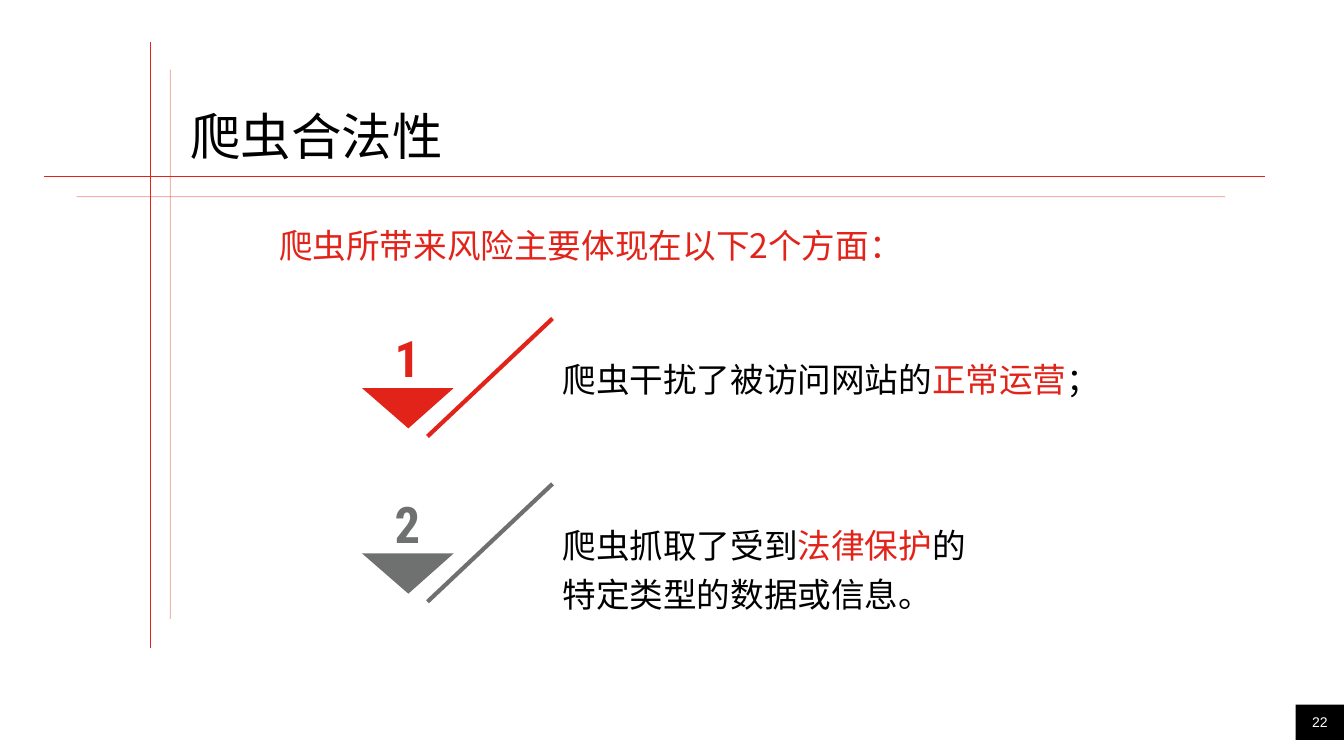
from lxml import etree
from pptx import Presentation
from pptx.dml.color import RGBColor
from pptx.enum import shapes, text
from pptx.oxml.ns import qn
from pptx.util import Inches, Pt

RED = RGBColor(0xE2, 0x23, 0x1A)
GRAY = RGBColor(0x6F, 0x71, 0x70)
BLACK = RGBColor(0, 0, 0)
WHITE = RGBColor(255, 255, 255)
CJK = "Noto Sans CJK SC"


def write(sp, runs, size, font=CJK, bold=False, align=None, spacing=None,
          anchor=text.MSO_ANCHOR.TOP, inset=None):
    tf = sp.text_frame
    tf.word_wrap = True
    tf.vertical_anchor = anchor
    if inset is not None:
        tf.margin_left = tf.margin_right = Inches(inset)
        tf.margin_top = tf.margin_bottom = Inches(inset)
    p = tf.paragraphs[0]
    p.alignment = align
    p.line_spacing = spacing
    p.font.size = Pt(size)
    p.font.name = font
    p.font.bold = bold
    latin = p.font._element.find(qn("a:latin"))
    ea = etree.Element(qn("a:ea"), typeface=CJK)
    latin.addnext(ea)
    for words, color in runs:
        r = p.add_run()
        r.text = words
        r.font.color.rgb = color


def add_text(s, x, y, w, h, runs, size, **style):
    sp = s.shapes.add_textbox(Inches(x), Inches(y), Inches(w), Inches(h))
    write(sp, runs, size, **style)


def add_line(s, x1, y1, x2, y2, color, width=0.75, alpha=None):
    ln = s.shapes.add_connector(shapes.MSO_CONNECTOR.STRAIGHT, Inches(x1),
                                Inches(y1), Inches(x2), Inches(y2))
    ln.line.color.rgb = color
    ln.line.width = Pt(width)
    if alpha:
        clr = ln.line._ln.find(".//" + qn("a:srgbClr"))
        etree.SubElement(clr, qn("a:alpha"), val=str(alpha * 1000))
    etree.SubElement(ln._element.spPr, qn("a:effectLst"))


def plain(sp, color):
    sp.shadow.inherit = False
    sp.fill.solid()
    sp.fill.fore_color.rgb = color
    sp.line.fill.background()


def add_marker(s, number, y, color):
    add_line(s, 5.48, y, 4.24, y + 1.17, color, 3)
    fb = s.shapes.build_freeform(Inches(3.59), Inches(y + 0.69))
    fb.add_line_segments([(Inches(4.5), Inches(y + 0.69)),
                          (Inches(4.05), Inches(y + 1.09))])
    plain(fb.convert_to_shape(), color)
    add_text(s, 3.56, y - 0.25, 0.96, 0.94, [(number, color)], 36,
             font="Roboto Condensed", bold=True, spacing=1.2, inset=0,
             align=text.PP_ALIGN.CENTER, anchor=text.MSO_ANCHOR.BOTTOM)


def add_page_number(s, number):
    sp = s.shapes.add_shape(shapes.MSO_SHAPE.RECTANGLE, Inches(12.85),
                            Inches(6.99), Inches(0.48), Inches(0.35))
    plain(sp, BLACK)
    write(sp, [(number, WHITE)], 10, font="Arial", inset=0,
          align=text.PP_ALIGN.CENTER, anchor=text.MSO_ANCHOR.MIDDLE)


def add_title(s, words):
    sp = s.shapes.title
    sp.left, sp.top = Inches(1.79), Inches(0.87)
    sp.width, sp.height = Inches(6.49), Inches(0.57)
    write(sp, [(words, BLACK)], 36, spacing=1.2, align=text.PP_ALIGN.LEFT)


def main():
    prs = Presentation()
    prs.slide_width, prs.slide_height = Inches(13.33), Inches(7.5)
    s = prs.slides.add_slide(prs.slide_layouts[5])
    add_page_number(s, "22")
    add_title(s, "爬虫合法性")

    add_line(s, 1.69, 0.69, 1.69, 6.14, RED, alpha=32)
    add_line(s, 0.44, 1.75, 12.55, 1.75, RED)
    add_line(s, 0.76, 1.95, 12.15, 1.95, RED, alpha=35)
    add_line(s, 1.49, 0.42, 1.49, 6.43, RED)

    add_text(s, 2.67, 2.18, 9.23, 0.5,
             [("爬虫所带来风险主要体现在以下2个方面：", RED)], 24)
    add_marker(s, "1", 3.16, RED)
    add_text(s, 5.48, 3.43, 5.92, 0.58,
             [("爬虫干扰了被访问网站的", BLACK), ("正常运营", RED),
              ("；", BLACK)], 24, font="Arial", spacing=1.2)
    add_marker(s, "2", 4.8, GRAY)
    add_text(s, 5.48, 5.08, 4.22, 1.07,
             [("爬虫抓取了受到", BLACK), ("法律保护", RED),
              ("的特定类型的数据或信息。", BLACK)], 24, spacing=1.2)
    prs.save("out.pptx")


if __name__ == "__main__":
    main()
